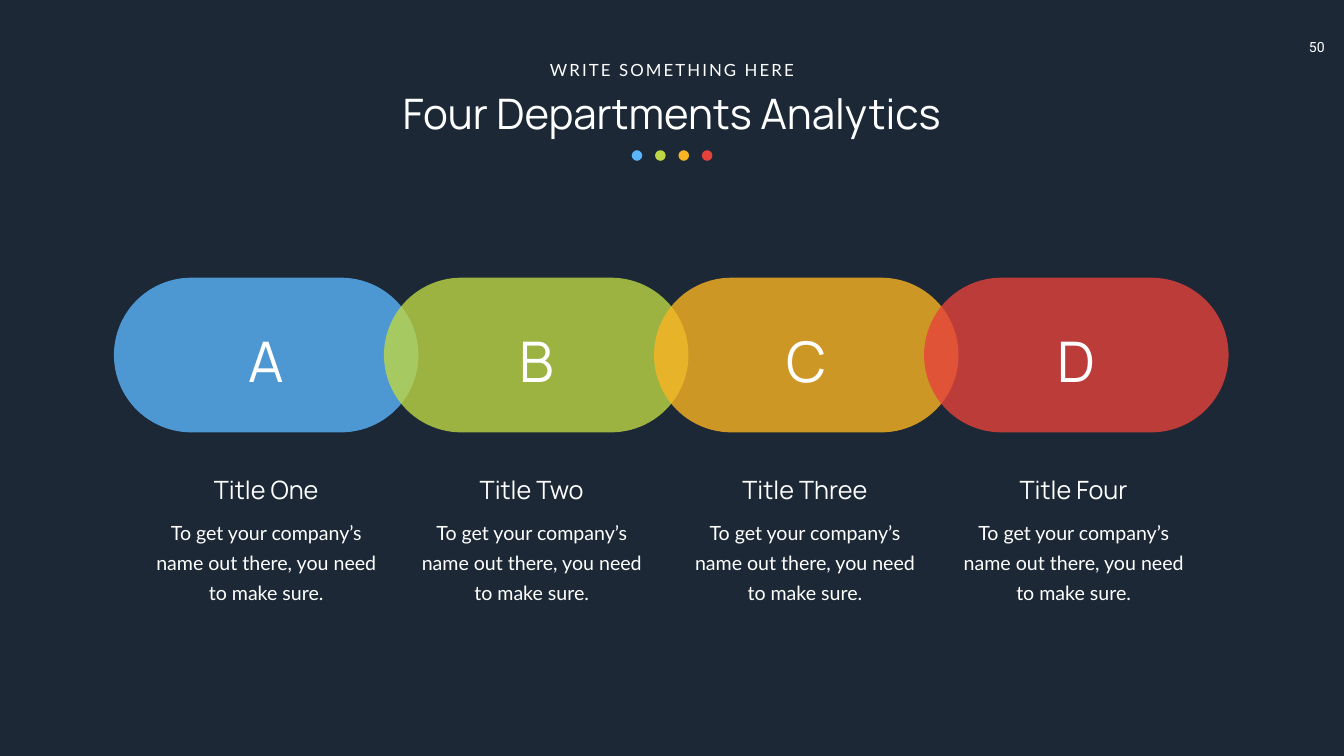
from lxml.etree import SubElement
from pptx import Presentation
from pptx.dml.color import RGBColor
from pptx.enum.shapes import MSO_SHAPE as SHAPE
from pptx.enum.text import MSO_ANCHOR, MSO_AUTO_SIZE, PP_ALIGN
from pptx.oxml.ns import qn
from pptx.util import Pt

COLORS = {"bg": "1C2835", "text": "FFFFFF", "blue": "5AB4FA",
          "green": "BDD645", "amber": "FAB323", "red": "E5423B"}
TITLE = "Four Departments Analytics"
KICKER = "WRITE SOMETHING HERE"
PAGE = "50"
BODY = "To get your company’s name out there, you need to make sure."
# letter, letter box width, colour, heading, centre of the caption column
DEPARTMENTS = [
    ("A", 127.4, "blue", "Title One", 380.2),
    ("B", 180, "green", "Title Two", 759.4),
    ("C", 180, "amber", "Title Three", 1149.6),
    ("D", 180, "red", "Title Four", 1533.4),
]

WIDTH, HEIGHT = 1919.5, 1080
PILL_LEFT, PILL_TOP, PILL_W, PILL_H, PILL_PITCH = 162.7, 396.7, 434.9, 221, 385.7
DOT_LEFT, DOT_TOP, DOT_SIZE, DOT_PITCH = 902.2, 214.6, 15.1, 33.4


def rgb(name):
    return RGBColor.from_string(COLORS[name])


def write(sp, text, size, font, spacing=None, line=None):
    tf = sp.text_frame
    tf.word_wrap = True
    tf.auto_size = MSO_AUTO_SIZE.NONE
    tf.vertical_anchor = MSO_ANCHOR.MIDDLE
    p = tf.paragraphs[0]
    p.alignment = PP_ALIGN.CENTER
    if line:
        p.line_spacing = Pt(line)
    r = p.add_run()
    r.text = text
    r.font.size, r.font.name = Pt(size), font
    r.font.color.rgb = rgb("text")
    if spacing:
        r.font._element.set("spc", str(spacing * 100))


def add_text(shapes, center, top, w, h, *args, **kwargs):
    sp = shapes.add_textbox(Pt(center - w / 2), Pt(top), Pt(w), Pt(h))
    write(sp, *args, **kwargs)


def add_shape(shapes, kind, left, top, w, h, color, alpha=None):
    sp = shapes.add_shape(kind, Pt(left), Pt(top), Pt(w), Pt(h))
    sp.shadow.inherit = False
    sp.fill.solid()
    sp.fill.fore_color.rgb = rgb(color)
    sp.line.fill.background()
    if alpha:
        clr = sp._element.spPr.find(qn("a:solidFill"))[0]
        SubElement(clr, qn("a:alpha"), val=str(alpha * 1000))
    return sp


prs = Presentation()
prs.slide_width, prs.slide_height = Pt(WIDTH), Pt(HEIGHT)
s = prs.slides.add_slide(prs.slide_layouts[5])
s.background.fill.solid()
s.background.fill.fore_color.rgb = rgb("bg")

# Heading and page number
title = s.shapes.title
title.left, title.top, title.width, title.height = Pt(416.2), Pt(121), Pt(1086.5), Pt(79.9)
write(title, TITLE, 60, "Manrope")
add_text(s.shapes, 1880.7, 48.2, 72, 38.9, PAGE, 20, "Roboto")
add_text(s.shapes, WIDTH / 2, 81.4, 370, 36, KICKER, 24, "Lato", spacing=3)

# Dots under the title
for i, (_, _, color, _, _) in enumerate(DEPARTMENTS):
    add_shape(s.shapes, SHAPE.OVAL, DOT_LEFT + i * DOT_PITCH, DOT_TOP,
              DOT_SIZE, DOT_SIZE, color)

# Overlapping translucent pills
for i, (_, _, color, _, _) in enumerate(DEPARTMENTS):
    pill = add_shape(s.shapes, SHAPE.ROUNDED_RECTANGLE, PILL_LEFT + i * PILL_PITCH,
                     PILL_TOP, PILL_W, PILL_H, color, alpha=80)
    pill.adjustments[0] = 0.5

# Letters on the pills, grouped captions below
for i, (letter, letter_w, _, heading, center) in enumerate(DEPARTMENTS):
    pill_center = PILL_LEFT + i * PILL_PITCH + PILL_W / 2
    add_text(s.shapes, pill_center, 461.5, letter_w, 104.4, letter, 80, "Manrope")
    caption = s.shapes.add_group_shape().shapes
    add_text(caption, center, 732.2, 333.4, 133.2, BODY, 28, "Lato", line=43)
    add_text(caption, center, 673.9, 374.4, 51.1, heading, 36, "Manrope")

prs.save("out.pptx")
